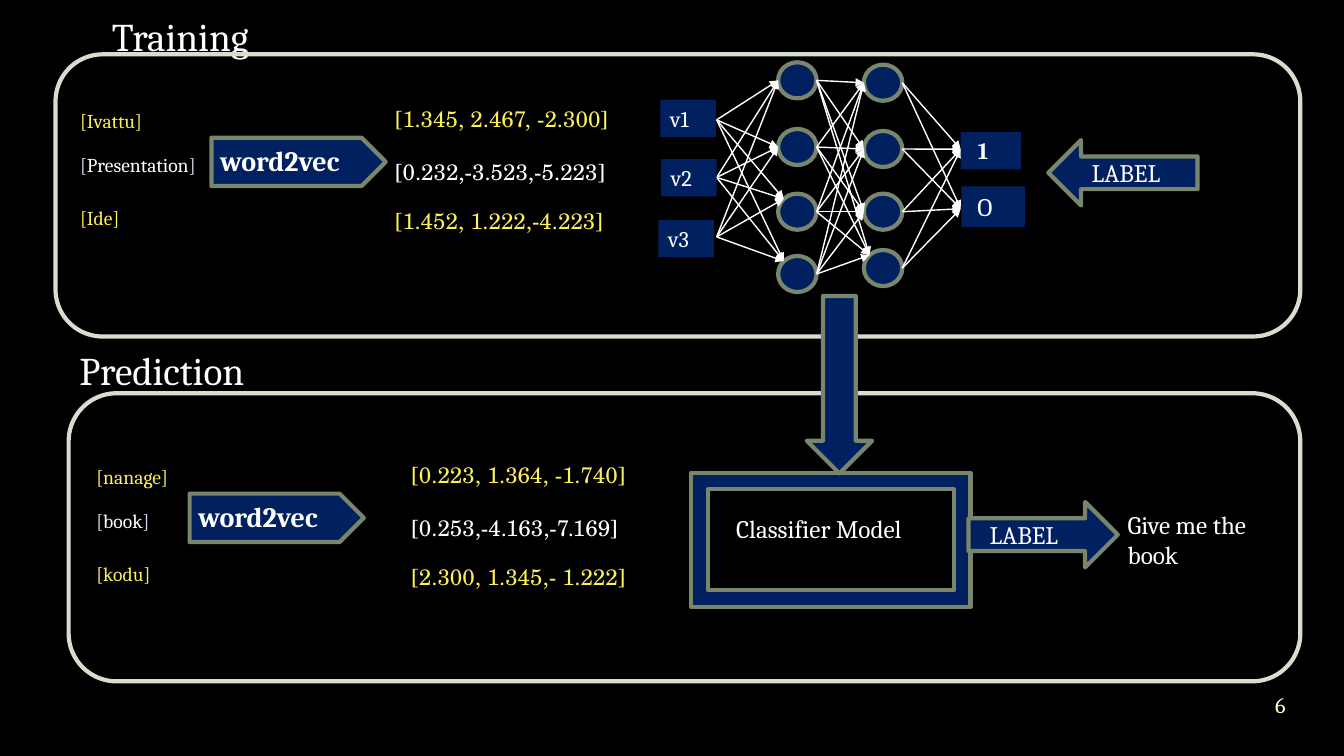
from dataclasses import dataclass
from itertools import product

from lxml.etree import SubElement
from pptx import Presentation
from pptx.dml.color import RGBColor
from pptx.enum.shapes import MSO_CONNECTOR as Link, MSO_SHAPE as Kind
from pptx.enum.text import MSO_ANCHOR as Anchor, PP_ALIGN as Align
from pptx.oxml.ns import qn
from pptx.util import Cm, Pt

BLACK = RGBColor(0, 0, 0)
WHITE = RGBColor(255, 255, 255)
NAVY = RGBColor(0x00, 0x20, 0x60)
OLIVE = RGBColor(0x7A, 0x86, 0x6C)
SAGE = RGBColor(0xD7, 0xDE, 0xCE)
YELLOW = RGBColor(0xFC, 0xF0, 0x59)
PALE = RGBColor(0xCC, 0xD8, 0xE7)
CREAM = RGBColor(0xFE, 0xFA, 0xC9)
SERIF, SCHOLA = "Cambria", "TeX Gyre Schola"


@dataclass(frozen=True)
class Box:
    """Left, top, width and height in centimetres."""
    x: float
    y: float
    w: float
    h: float


@dataclass(frozen=True)
class Style:
    size: int
    color: RGBColor = WHITE
    font: str = SERIF
    bold: bool = False


@dataclass(frozen=True)
class Panel:
    title: str
    head: Box
    frame: Box
    top: float      # top of the vector column
    word_x: float
    plate_x: float
    vec_x: float
    words: tuple[str, ...]
    vectors: tuple[str, ...]


Point = tuple[float, float]

deck = Presentation()
deck.slide_width, deck.slide_height = Cm(33.87), Cm(19.05)
slide = deck.slides.add_slide(deck.slide_layouts[6])
slide.background.fill.solid()
slide.background.fill.fore_color.rgb = BLACK


def write(shape, text: str, style: Style, left: float = 0.25, top: float = 0.13,
          anchor=Anchor.MIDDLE, align=Align.LEFT) -> None:
    frame = shape.text_frame
    frame.word_wrap = True
    frame.vertical_anchor = anchor
    frame.margin_left, frame.margin_top = Cm(left), Cm(top)
    frame.margin_right = Cm(0)
    para = frame.paragraphs[0]
    para.text, para.alignment = text, align
    font = para.font
    font.name, font.size, font.bold = style.font, Pt(style.size), style.bold
    font.color.rgb = style.color


def label(box: Box, text: str, style: Style, **more):
    shape = slide.shapes.add_textbox(Cm(box.x), Cm(box.y), Cm(box.w), Cm(box.h))
    write(shape, text, style, **{"anchor": Anchor.TOP, **more})
    return shape


def draw(kind: Kind, box: Box, fill: RGBColor | None = NAVY,
         line: RGBColor | None = OLIVE):
    shape = slide.shapes.add_shape(kind, Cm(box.x), Cm(box.y), Cm(box.w), Cm(box.h))
    shape.shadow.inherit = False
    if fill is None:
        shape.fill.background()
    else:
        shape.fill.solid()
        shape.fill.fore_color.rgb = fill
    if line is None:
        shape.line.fill.background()
    else:
        shape.line.color.rgb, shape.line.width = line, Pt(3)
    return shape


def join(start: Point, end: Point) -> None:
    edge = slide.shapes.add_connector(Link.STRAIGHT, *map(Cm, start + end))
    edge.line.color.rgb, edge.line.width = WHITE, Pt(1)
    SubElement(edge.line._get_or_add_ln(), qn("a:tailEnd"), type="triangle")
    SubElement(edge._element.spPr, qn("a:effectLst"))


def show(panel: Panel) -> None:
    tints = YELLOW, WHITE, YELLOW
    for word, gap, tint in zip(panel.words, (0.11, 1.22, 2.54), tints):
        box = Box(panel.word_x, panel.top + gap, 3.76, 0.86)
        if tint == WHITE:  # pale brackets around a white word
            para = label(box, "[", Style(14, PALE)).text_frame.paragraphs[0]
            core = para.add_run()
            core.text, core.font.color.rgb = word, WHITE
            para.add_run().text = "]"
        else:
            label(box, f"[{word}]", Style(14, tint))
    for text, gap, tint in zip(panel.vectors, (0, 1.35, 2.59), tints):
        label(Box(panel.vec_x, panel.top + gap, 6.38, 0.94), text,
              Style(16, tint, SCHOLA))
    plate = draw(Kind.PENTAGON, Box(panel.plate_x, panel.top + 0.96, 4.39, 1.22))
    write(plate, "word2vec", Style(20, bold=True), left=0.22, top=0.05)
    label(panel.head, panel.title, Style(28))
    draw(Kind.ROUNDED_RECTANGLE, panel.frame, None, SAGE)


# Training and prediction panels
for panel in (
    Panel("Training", Box(2.57, 0.18, 11.86, 1.45), Box(1.4, 1.37, 31.37, 7.11),
          2.51, 1.77, 5.33, 9.71, ("Ivattu", "Presentation", "Ide"),
          ("[1.345, 2.467, -2.300]", "[0.232,-3.523,-5.223]",
           "[1.452, 1.222,-4.223]")),
    Panel("Prediction", Box(1.75, 8.59, 11.86, 1.45), Box(1.73, 9.91, 31.04, 7.26),
          11.48, 2.18, 4.78, 10.12, ("nanage", "book", "kodu"),
          ("[0.223, 1.364, -1.740]", "[0.253,-4.163,-7.169]",
           "[2.300, 1.345,- 1.222]")),
):
    show(panel)

# Network nodes
WIDE, HIGH = 0.97, 0.91
first = [(19.61, y) for y in (1.57, 3.25, 4.88, 6.45)]
second = [(21.77, y) for y in (1.63, 3.3, 4.88, 6.3)]
for x, y in first + second:
    draw(Kind.FLOWCHART_CONNECTOR, Box(x, y, WIDE, HIGH))


def entry(node: Point, corner: bool = False) -> Point:
    x, y = node
    return (x + 0.14, y + 0.13) if corner else (x, y + HIGH / 2)


def leave(node: Point) -> Point:
    return node[0] + WIDE, node[1] + HIGH / 2


# Network outputs
for box, text, style in (
    (Box(24.21, 3.33, 1.52, 0.94), "1", Style(16, font=SCHOLA, bold=True)),
    (Box(24.23, 4.7, 1.6, 1.02), "O", Style(18)),
):
    write(draw(Kind.RECTANGLE, box, line=None), text, style, left=0.4)

# Network edges, layer by layer
starts = [(18.06, y) for y in (3.02, 4.47, 5.97)]
ends = [(24.21, y) for y in (3.76, 5.26)]
layers = (
    (starts, [entry(n, i > 1) for i, n in enumerate(first)]),
    (map(leave, first), [entry(n, i > 2) for i, n in enumerate(second)]),
    (map(leave, second), ends),
)
for tails, heads in layers:
    for start, end in product(tails, heads):
        join(start, end)

# Network inputs
for i, (x, y) in enumerate(((16.64, 2.51), (16.66, 4.01), (16.59, 5.54)), 1):
    cell = draw(Kind.RECTANGLE, Box(x, y, 1.4, 0.94), line=None)
    write(cell, f"v{i}", Style(16))

# Classifier and its arrows
model = draw(Kind.FRAME, Box(17.42, 11.91, 7.04, 3.38))
write(model, "Classifier Model", Style(18), left=0.71, top=0.61, anchor=Anchor.TOP)
draw(Kind.DOWN_ARROW, Box(20.33, 7.46, 1.65, 4.47))
for kind, x, y, left in ((Kind.LEFT_ARROW, 26.42, 3.53, 0.68),
                         (Kind.RIGHT_ARROW, 24.41, 12.65, 0.53)):
    write(draw(kind, Box(x, y, 3.76, 1.65)), "LABEL", Style(18), left=left)
label(Box(28.17, 12.7, 4.52, 1.8), "Give me the book", Style(18))

# Page number
label(Box(31.14, 17.17, 2.26, 1.27), "6", Style(16, CREAM), left=0, top=0,
      anchor=Anchor.MIDDLE, align=Align.CENTER)

deck.save("out.pptx")
